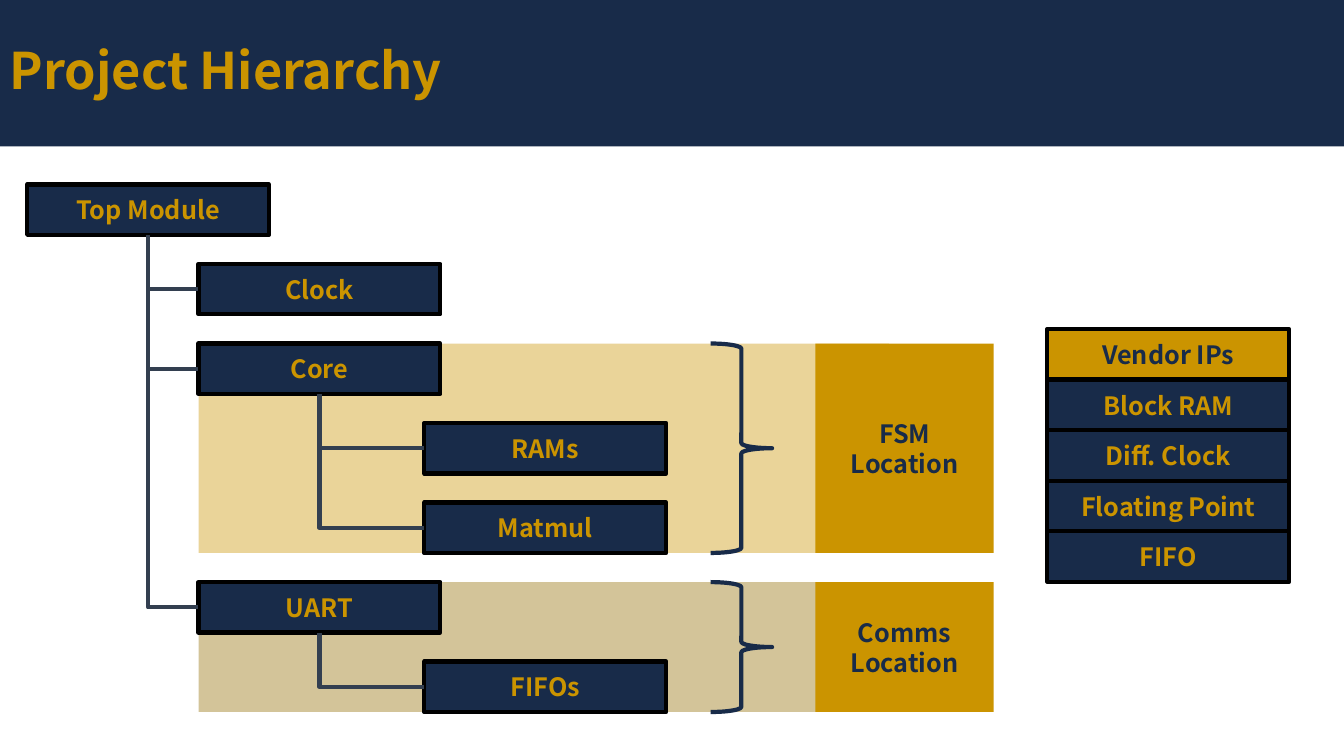
from lxml.etree import SubElement
from pptx import Presentation
from pptx.dml.color import RGBColor
from pptx.enum.shapes import MSO_CONNECTOR, MSO_SHAPE
from pptx.enum.text import MSO_ANCHOR, PP_ALIGN
from pptx.oxml.ns import qn
from pptx.util import Pt

# Content
TITLE = "Project Hierarchy"
MODULES = [  # name, depth, parent; one per row
    ("Top Module", 0, None),
    ("Clock", 1, "Top Module"),
    ("Core", 1, "Top Module"),
    ("RAMs", 2, "Core"),
    ("Matmul", 2, "Core"),
    ("UART", 1, "Top Module"),
    ("FIFOs", 2, "UART"),
]
LOCATIONS = [  # name, first row, last row, band colour
    ("Comms Location", 5, 6, "926C00"),
    ("FSM Location", 2, 4, "CB9400"),
]
IPS = ["Vendor IPs", "Block RAM", "Diff. Clock", "Floating Point", "FIFO"]

# Style and layout, in points
NAVY, GOLD, BLACK, SLATE = "182B49", "CB9400", "000000", "333F50"
FONT = "Noto Sans CJK TC"
LINE_W = 3
SLIDE_W, SLIDE_H, BANNER_H = 960, 540, 104.6
BOX_W, BOX_H = 172.8, 36
DEPTH_X = [19.4, 141.8, 303.1]
ROW_Y, ROW_STEP = 131.8, 56.8
BAND_W = 493.2
BRACE_X, BRACE_W = 507.6, 43.9
LABEL_X, LABEL_W = 582.5, 127.4
IP_X, IP_Y, IP_STEP = 748.1, 235.2, 36.1

prs = Presentation()
prs.slide_width, prs.slide_height = Pt(SLIDE_W), Pt(SLIDE_H)
s = prs.slides.add_slide(prs.slide_layouts[6])


def rgb(color):
    return RGBColor.from_string(color)


def row_top(row):
    return ROW_Y + row * ROW_STEP


def add_shape(x, y, w, h, fill=None, line=None, kind=MSO_SHAPE.RECTANGLE):
    sp = s.shapes.add_shape(kind, Pt(x), Pt(y), Pt(w), Pt(h))
    sp.shadow.inherit = False
    if fill:
        sp.fill.solid()
        sp.fill.fore_color.rgb = rgb(fill)
    else:
        sp.fill.background()
    if line:
        sp.line.color.rgb = rgb(line)
        sp.line.width = Pt(LINE_W)
    else:
        sp.line.fill.background()
    return sp


def write(sp, text, color, size=18, align=PP_ALIGN.CENTER):
    tf = sp.text_frame
    tf.word_wrap = True
    tf.vertical_anchor = MSO_ANCHOR.MIDDLE
    p = tf.paragraphs[0]
    p.text = text
    p.alignment = align
    font = p.runs[0].font
    font.name, font.size, font.bold = FONT, Pt(size), True
    font.color.rgb = rgb(color)
    return p


def add_box(text, x, y, fill=NAVY, color=GOLD):
    sp = add_shape(x, y, BOX_W, BOX_H, fill, BLACK)
    write(sp, text, color)
    return sp


def add_branch(parent, child):
    """One-bend connector from the parent's bottom to the child's left side."""
    x1, y1 = parent.left + parent.width // 2, parent.top + parent.height
    x2, y2 = child.left, child.top + child.height // 2
    c = s.shapes.add_connector(MSO_CONNECTOR.ELBOW, x1, y1, x2, y2)
    c.begin_connect(parent, 2)
    c.end_connect(child, 1)
    c.line.color.rgb = rgb(SLATE)
    c.line.width = Pt(LINE_W)
    # Turned a quarter, so width and height swap around the same centre
    dx, dy = x2 - x1, y2 - y1
    c.left, c.top = (x1 + x2 - dy) // 2, (y1 + y2 - dx) // 2
    c.width, c.height = dy, dx
    props = c._element.spPr
    xfrm = props.find(qn("a:xfrm"))
    xfrm.set("rot", "16200000")
    xfrm.set("flipH", "1")
    props.find(qn("a:prstGeom")).set("prst", "bentConnector2")
    SubElement(props, qn("a:effectLst"))


# Translucent location bands
for name, first, last, color in LOCATIONS:
    height = row_top(last) + BOX_H - row_top(first)
    band = add_shape(DEPTH_X[1], row_top(first), BAND_W, height, color)
    clr = band._element.spPr.find(qn("a:solidFill"))[0]
    SubElement(clr, qn("a:alpha")).set("val", "40000")

# Title banner
banner = add_shape(0, 0, SLIDE_W, BANNER_H, NAVY)
write(banner, TITLE, GOLD, 36, PP_ALIGN.LEFT).line_spacing = 0.9

# Module tree
boxes = {}
for row, (name, depth, parent) in enumerate(MODULES):
    boxes[name] = add_box(name, DEPTH_X[depth], row_top(row))

# Braces and location labels
for name, first, last, color in LOCATIONS:
    top = row_top(first)
    height = row_top(last) + BOX_H - top
    add_shape(BRACE_X, top, BRACE_W, height, line=NAVY, kind=MSO_SHAPE.RIGHT_BRACE)
    write(add_shape(LABEL_X, top, LABEL_W, height, GOLD), name, NAVY)

# IP list, with its heading in reversed colours
for i, name in enumerate(IPS):
    fill, color = (NAVY, GOLD) if i else (GOLD, NAVY)
    add_box(name, IP_X, IP_Y + i * IP_STEP, fill, color)

# Tree branches
for name, depth, parent in MODULES:
    if parent:
        add_branch(boxes[parent], boxes[name])

prs.save("out.pptx")
